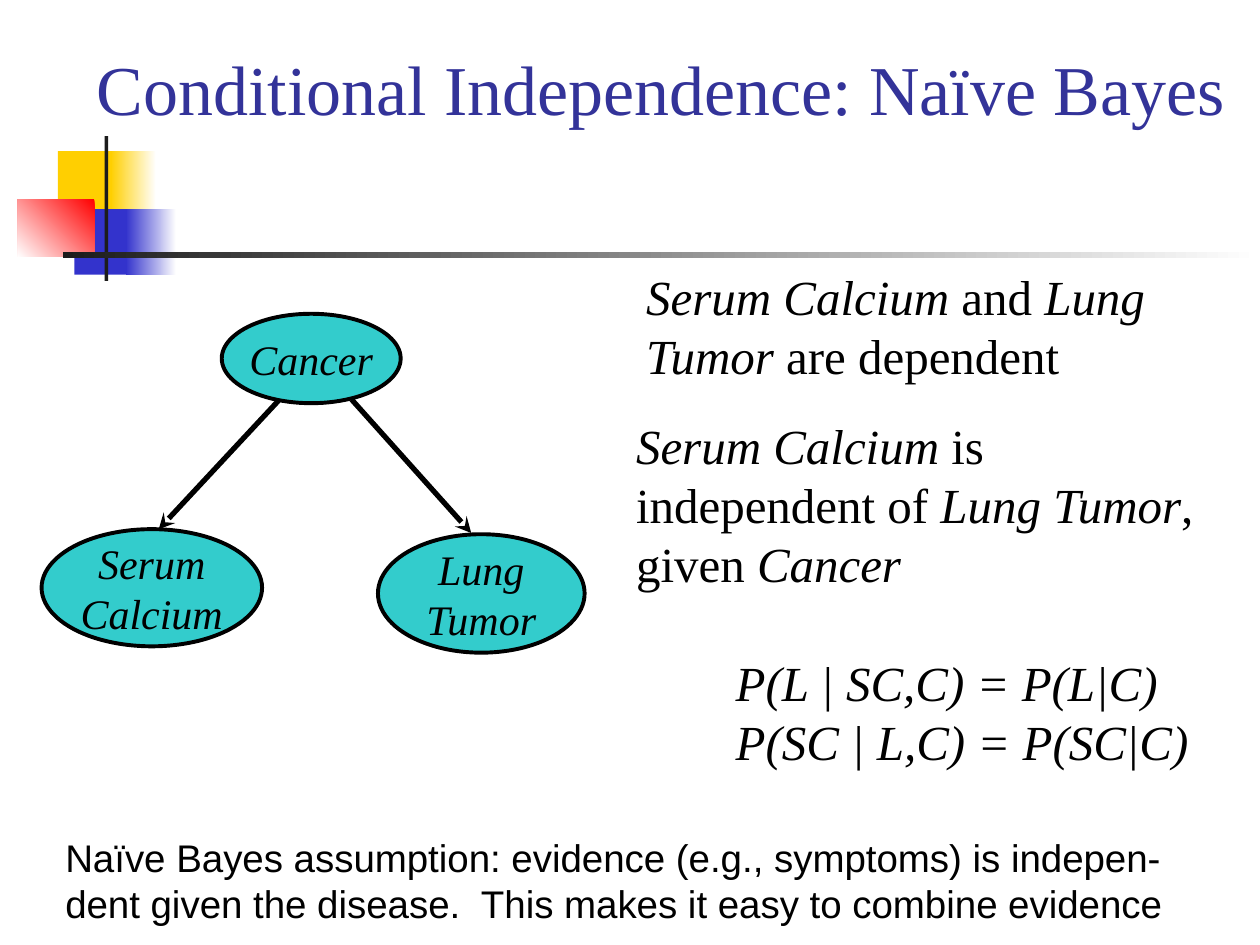
from dataclasses import dataclass

from lxml.etree import SubElement
from pptx import Presentation
from pptx.dml.color import RGBColor
from pptx.enum.shapes import MSO_CONNECTOR, MSO_SHAPE
from pptx.enum.text import MSO_ANCHOR, MSO_AUTO_SIZE, PP_ALIGN
from pptx.oxml.ns import qn
from pptx.util import Inches, Pt


@dataclass(frozen=True)
class Theme:
    serif: str = "Times New Roman"
    sans: str = "Arial"
    head: str = "333399"
    ink: str = "000000"
    node: str = "33CCCC"
    gold: str = "FFCF01"
    blue: str = "3333CC"
    red: str = "FF0000"
    dark: str = "1C1C1C"
    white: str = "FFFFFF"
    title: int = 40
    body: int = 28
    label: int = 24
    note: int = 22


T = Theme()


def rgb(code):
    return RGBColor.from_string(code)


def apply(item, form):
    for name, value in form.items():
        setattr(item, name, value)


def write(shape, lines, size, font=T.serif, color=T.ink, align=PP_ALIGN.LEFT, **frame):
    """Fill a shape with lines; text between asterisks is italic."""
    box = shape.text_frame
    apply(box, {"word_wrap": True, **frame})
    for i, line in enumerate(lines):
        para = box.add_paragraph() if i else box.paragraphs[0]
        para.alignment = align
        for j, part in enumerate(line.split("*")):
            if part:
                run = para.add_run()
                run.text = part
                apply(run.font, {"name": font, "size": Pt(size), "italic": j % 2 == 1})
                run.font.color.rgb = rgb(color)


def add_text(slide, at, lines, size, **form):
    box = slide.shapes.add_textbox(*map(Inches, at))
    write(box, lines, size, **form)


def add_block(slide, at, *colors, angle=180):
    """Add a plain rectangle, or a graded one when given two colours."""
    block = slide.shapes.add_shape(MSO_SHAPE.RECTANGLE, *map(Inches, at))
    block.shadow.inherit = False
    block.line.fill.background()
    if len(colors) == 1:
        block.fill.solid()
        block.fill.fore_color.rgb = rgb(colors[0])
        return
    block.fill.gradient()
    block.fill.gradient_angle = angle
    for stop, color in zip(block.fill.gradient_stops, colors):
        stop.color.rgb = rgb(color)


def add_node(slide, at, *lines):
    node = slide.shapes.add_shape(MSO_SHAPE.OVAL, *map(Inches, at))
    node.shadow.inherit = False
    node.fill.solid()
    node.fill.fore_color.rgb = rgb(T.node)
    node.line.color.rgb = rgb(T.ink)
    node.line.width = Pt(2.25)
    write(node, [f"*{line}*" for line in lines], T.label, align=PP_ALIGN.CENTER,
          word_wrap=False, vertical_anchor=MSO_ANCHOR.MIDDLE)


def add_arrow(slide, *ends):
    arrow = slide.shapes.add_connector(MSO_CONNECTOR.STRAIGHT, *map(Inches, ends))
    arrow.line.color.rgb = rgb(T.ink)
    arrow.line.width = Pt(3)
    SubElement(arrow.line._get_or_add_ln(), qn("a:tailEnd"), type="stealth")
    SubElement(arrow._element.spPr, qn("a:effectLst"))


def main():
    deck = Presentation()
    apply(deck, {"slide_width": Inches(10), "slide_height": Inches(7.5)})
    slide = deck.slides.add_slide(deck.slide_layouts[6])

    # Corner ornament and rule
    add_block(slide, (0.46, 1.2, 0.48, 0.52), T.gold)
    add_block(slide, (0.88, 1.2, 0.36, 0.52), T.white, T.gold)
    add_block(slide, (0.59, 1.66, 0.46, 0.52), T.blue)
    add_block(slide, (1, 1.66, 0.4, 0.52), T.white, T.blue)
    add_block(slide, (0.14, 1.58, 0.61, 0.46), T.red, T.white, angle=225)
    add_block(slide, (0.83, 1.08, 0.03, 1.15), T.dark)
    add_block(slide, (0.5, 2, 9.5, 0.05), T.white, T.dark)

    # Title
    add_text(slide, (0.67, -0.17, 10, 1.25), ["Conditional Independence: Naïve Bayes"],
             T.title, color=T.head, vertical_anchor=MSO_ANCHOR.BOTTOM)

    # Network
    add_node(slide, (1.76, 2.49, 1.42, 0.71), "Cancer")
    add_arrow(slide, 2.79, 3.17, 3.74, 4.23)
    add_arrow(slide, 2.21, 3.18, 1.26, 4.2)
    add_node(slide, (3, 4.24, 1.64, 0.94), "Lung", "Tumor")
    add_node(slide, (0.33, 4.2, 1.75, 0.93), "Serum", "Calcium")

    # Statements and formulas
    grow = {"auto_size": MSO_AUTO_SIZE.SHAPE_TO_FIT_TEXT}
    add_text(slide, (5.03, 2.07, 4.72, 1.04),
             ["*Serum Calcium* and *Lung Tumor* are dependent"], T.body, **grow)
    add_text(slide, (4.95, 3.25, 4.72, 1.5),
             ["*Serum Calcium* is independent of *Lung Tumor*, given *Cancer*"],
             T.body, **grow)
    add_text(slide, (5.74, 5.13, 3.79, 1.04),
             ["*P(L | SC,C) = P(L|C)*", "*P(SC | L,C) = P(SC|C)*"],
             T.body, word_wrap=False, **grow)

    # Closing note
    add_text(slide, (0.42, 6.57, 9.33, 0.84),
             ["Naïve Bayes assumption: evidence (e.g., symptoms) is indepen-dent "
              "given the disease.  This makes it easy to combine evidence"],
             T.note, font=T.sans, **grow)

    deck.save("out.pptx")


if __name__ == "__main__":
    main()
